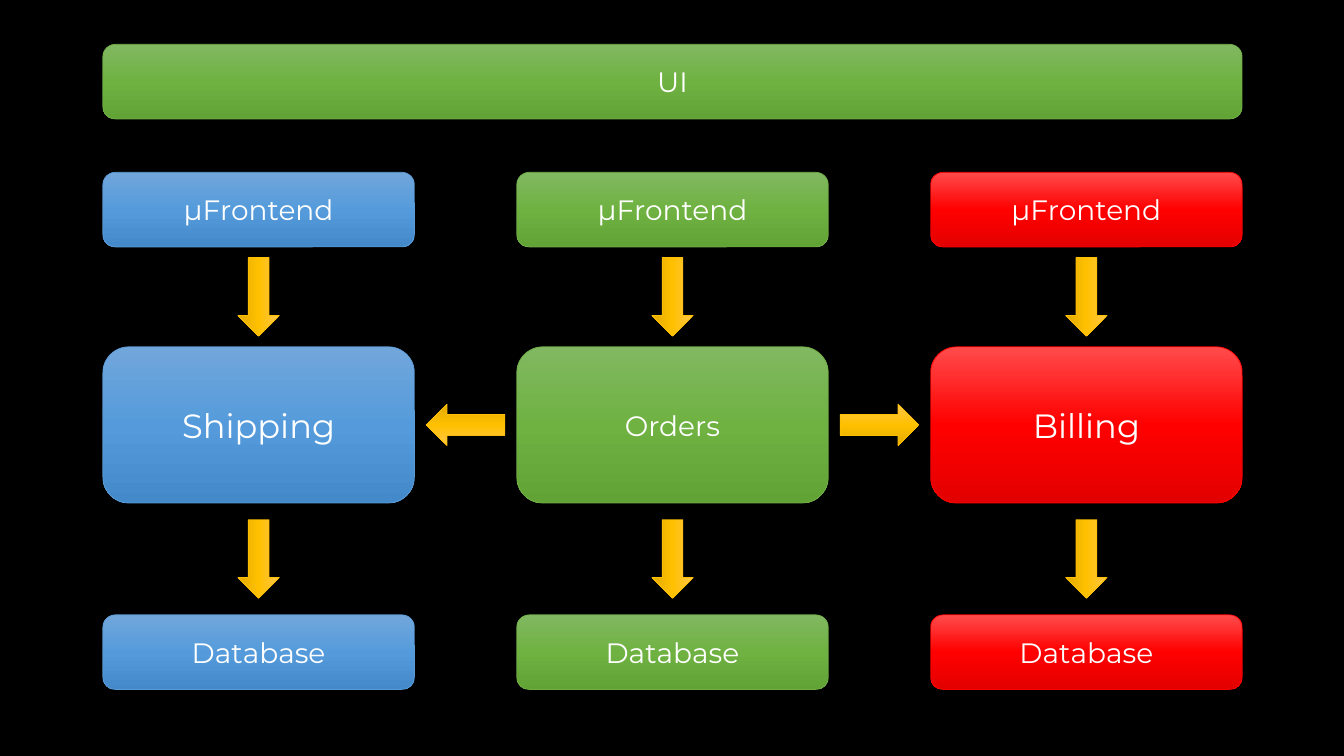
from copy import deepcopy
from pptx import Presentation
from pptx.dml.color import RGBColor
from pptx.enum.shapes import MSO_SHAPE as Kind
from pptx.enum.text import MSO_ANCHOR as Anchor, PP_ALIGN as Align
from pptx.oxml.ns import qn
from pptx.util import Inches, Pt

FONT = "Montserrat"
BLUE = ("71A6DB", "559BDB", "448ACA", "5B9BD5")
GREEN = ("81B861", "6FB242", "62A336", "70AD47")
RED = ("FF4B4B", "FF0000", "E30000", "FF0000")
GOLD = ("FFC64B", "FFC000", "E3AB00", "FFC000")

TEAMS = [("Shipping", 24, BLUE), ("Orders", 20, GREEN), ("Billing", 24, RED)]
LEFT, SPAN, WIDE = 1.02, 11.3, 3.09
STEP = (SPAN - WIDE) / (len(TEAMS) - 1)
TOP, FRONT, CORE, DATA = (0.44, 0.74), (1.71, 0.74), (3.44, 1.55), (6.1, 0.74)
LONG, THICK = 0.78, 0.41


def rgb(code):
    return RGBColor.from_string(code)


def draw(kind, x, y, w, h, tones):
    shape = slide.shapes.add_shape(kind, *map(Inches, (x, y, w, h)))
    shape.shadow.inherit = False
    shape.fill.gradient()
    stops = shape._element.spPr.find(".//" + qn("a:gsLst"))
    stops.append(deepcopy(stops[0]))
    for stop, tone, place in zip(shape.fill.gradient_stops, tones, (0, 0.5, 1)):
        stop.color.rgb = rgb(tone)
        stop.position = place
    shape.fill.gradient_angle = 270
    shape.line.color.rgb = rgb(tones[-1])
    shape.line.width = Pt(0.5)
    return shape


def box(text, x, row, w, tones, size=20):
    y, h = row
    frame = draw(Kind.ROUNDED_RECTANGLE, x, y, w, h, tones).text_frame
    frame.word_wrap = True
    frame.vertical_anchor = Anchor.MIDDLE
    para = frame.paragraphs[0]
    para.alignment = Align.CENTER
    run = para.add_run()
    run.text = text
    run.font.name = FONT
    run.font.size = Pt(size)
    run.font.color.rgb = rgb("FFFFFF")


def arrow(mid, level, turn):
    shape = draw(Kind.RIGHT_ARROW, mid - LONG / 2, level - THICK / 2, LONG, THICK, GOLD)
    shape.rotation = turn


def between(upper, lower):
    return (sum(upper) + lower[0]) / 2


deck = Presentation()
deck.slide_width, deck.slide_height = Inches(13.33), Inches(7.5)
slide = deck.slides.add_slide(deck.slide_layouts[6])
slide.background.fill.solid()
slide.background.fill.fore_color.rgb = rgb("000000")

box("UI", LEFT, TOP, SPAN, GREEN)
for col, (name, size, tones) in enumerate(TEAMS):
    x = LEFT + col * STEP
    box("µFrontend", x, FRONT, WIDE, tones)
    box(name, x, CORE, WIDE, tones, size)
    box("Database", x, DATA, WIDE, tones)
    for upper, lower in ((FRONT, CORE), (CORE, DATA)):
        arrow(x + WIDE / 2, between(upper, lower), 90)

center = LEFT + SPAN / 2
level = CORE[0] + CORE[1] / 2
for side, turn in ((-1, 180), (1, 0)):
    arrow(center + side * STEP / 2, level, turn)

deck.save("out.pptx")
